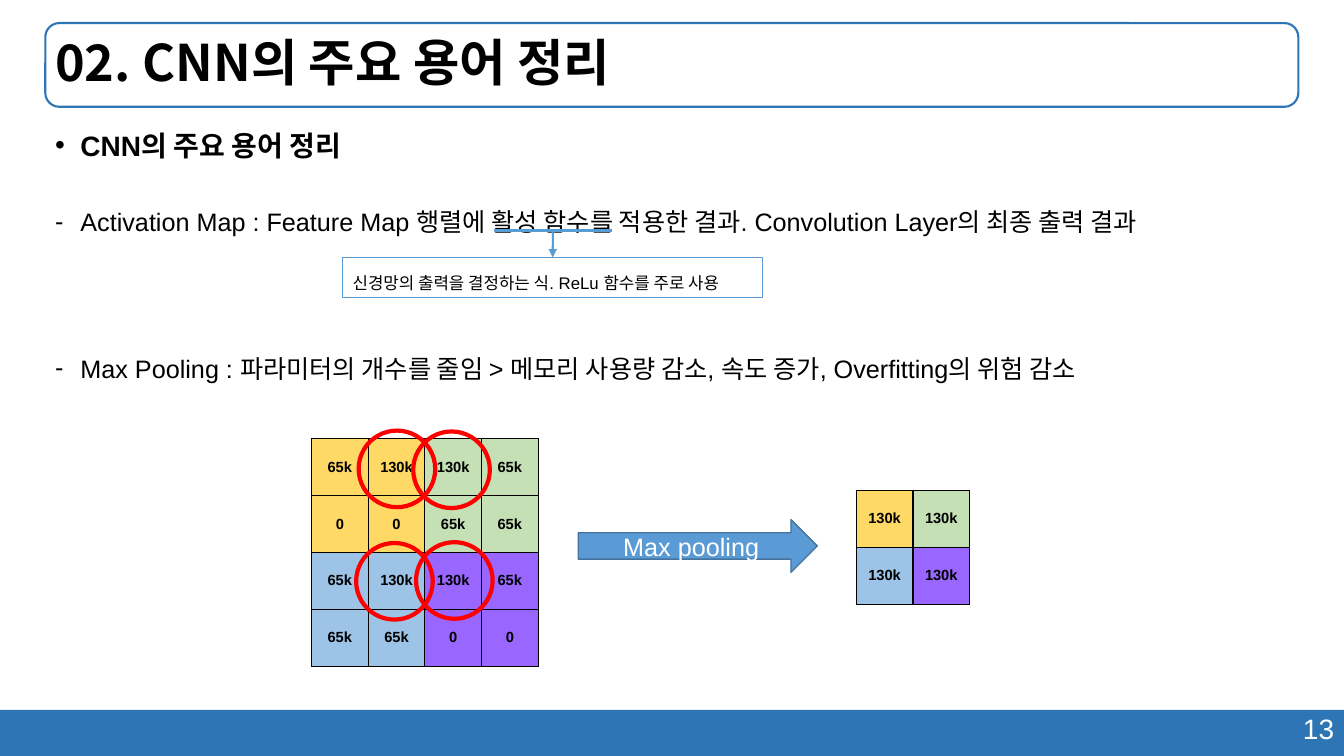
from dataclasses import dataclass

from lxml.etree import SubElement
from pptx import Presentation
from pptx.dml.color import RGBColor
from pptx.enum.shapes import MSO_CONNECTOR as Conn, MSO_SHAPE as Shape
from pptx.enum.text import MSO_ANCHOR as Anchor, PP_ALIGN as Align
from pptx.oxml import parse_xml
from pptx.oxml.ns import nsdecls, qn
from pptx.util import Pt

COLORS = {
    "bar": "2E75B6", "accent": "5B9BD5", "arrow_edge": "43739E",
    "black": "000000", "white": "FFFFFF", "red": "FF0000",
    "yellow": "FFD966", "green": "C5E0B4", "blue": "9DC3E6", "purple": "9966FF",
}
QUADRANTS = [["yellow", "green"], ["blue", "purple"]]
CELL_W, CELL_H = 40.5, 40.7
CIRCLE = 54.7


@dataclass
class Box:
    left: float
    top: float
    width: float
    height: float


@dataclass
class Style:
    size: float
    color: str = "black"
    bold: bool = False
    name: str = "Arial"


@dataclass
class BodyLine:
    text: str
    bullet: str
    style: Style
    line_spacing: float
    space_before: float


@dataclass
class Grid:
    left: float
    top: float
    rows: list[list[str]]


def rgb(key: str) -> RGBColor:
    return RGBColor.from_string(COLORS[key])


def place(box: Box) -> list[Pt]:
    return [Pt(v) for v in (box.left, box.top, box.width, box.height)]


def write(p, text: str, style: Style, **formats) -> None:
    for key, value in formats.items():
        setattr(p, key, value)
    r = p.add_run()
    r.text = text
    fonts = {"name": style.name, "size": Pt(style.size), "bold": style.bold}
    for key, value in fonts.items():
        setattr(r.font, key, value)
    r.font.color.rgb = rgb(style.color)


def add_shape(s, kind: Shape, box: Box, fill: str = "", line: str = "", width: float = 1):
    """Add a preset shape; an empty colour means no fill or no line."""
    sp = s.shapes.add_shape(kind, *place(box))
    sp.shadow.inherit = False
    if fill:
        sp.fill.solid()
        sp.fill.fore_color.rgb = rgb(fill)
    else:
        sp.fill.background()
    if line:
        sp.line.color.rgb = rgb(line)
        sp.line.width = Pt(width)
    else:
        sp.line.fill.background()
    return sp


def add_text_box(s, box: Box, anchor: Anchor = Anchor.TOP):
    tf = s.shapes.add_textbox(*place(box)).text_frame
    tf.word_wrap = True
    tf.vertical_anchor = anchor
    return tf


def add_line(s, start: tuple[float, float], end: tuple[float, float],
             width: float, arrow: bool = False) -> None:
    cx = s.shapes.add_connector(Conn.STRAIGHT, *(Pt(v) for v in start + end))
    cx.line.color.rgb = rgb("accent")
    cx.line.width = Pt(width)
    if arrow:
        SubElement(cx.line._get_or_add_ln(), qn("a:tailEnd"), type="triangle")
    SubElement(cx._element.spPr, qn("a:effectLst"))


def add_body(s, box: Box, lines: list[BodyLine]) -> None:
    tf = add_text_box(s, box)
    for i, line in enumerate(lines):
        p = tf.add_paragraph() if i else tf.paragraphs[0]
        pPr = p._p.get_or_add_pPr()
        pPr.set("marL", str(int(Pt(18))))
        pPr.set("indent", str(int(Pt(-18))))
        SubElement(pPr, qn("a:buFont"), typeface="Arial")
        SubElement(pPr, qn("a:buChar"), char=line.bullet)
        write(p, line.text, line.style, line_spacing=line.line_spacing,
              space_before=Pt(line.space_before))


def add_borders(cell) -> None:
    tcPr = cell._tc.get_or_add_tcPr()
    for i, side in enumerate("LRTB"):
        tcPr.insert(i, parse_xml(
            f'<a:ln{side} {nsdecls("a")} w="{int(Pt(1))}"><a:solidFill>'
            f'<a:srgbClr val="{COLORS["black"]}"/></a:solidFill></a:ln{side}>'))


def add_grid(s, grid: Grid) -> None:
    """Draw a square table whose four quadrants have their own colours."""
    n = len(grid.rows)
    box = Box(grid.left, grid.top, n * CELL_W, n * CELL_H)
    table = s.shapes.add_table(n, n, *place(box)).table
    for i in range(n):
        table.columns[i].width = Pt(CELL_W)
        table.rows[i].height = Pt(CELL_H)
    for i, row in enumerate(grid.rows):
        for j, value in enumerate(row):
            cell = table.cell(i, j)
            cell.fill.solid()
            cell.fill.fore_color.rgb = rgb(QUADRANTS[2 * i // n][2 * j // n])
            cell.vertical_anchor = Anchor.MIDDLE
            add_borders(cell)
            write(cell.text_frame.paragraphs[0], value, Style(10.5, bold=True),
                  alignment=Align.CENTER)


def main() -> None:
    prs = Presentation()
    prs.slide_width, prs.slide_height = Pt(960), Pt(540)
    s = prs.slides.add_slide(prs.slide_layouts[6])

    add_shape(s, Shape.RECTANGLE, Box(0, 507, 960, 33), fill="bar")
    tf = add_text_box(s, Box(679, 504.7, 281, 31.5))
    write(tf.paragraphs[0], "13", Style(20, "white"), alignment=Align.RIGHT)

    title_box = Box(32.4, 16.5, 895, 59.8)
    add_shape(s, Shape.ROUNDED_RECTANGLE, title_box, line="bar", width=1.5)
    tf = add_text_box(s, title_box, Anchor.MIDDLE)
    write(tf.paragraphs[0], "02. CNN의 주요 용어 정리",
          Style(36, bold=True, name="Noto Sans CJK KR"), line_spacing=0.9)

    add_body(s, Box(32.4, 90.7, 895, 420.5), [
        BodyLine("CNN의 주요 용어 정리", "•", Style(20, bold=True), 0.9, 0),
        BodyLine("Activation Map : Feature Map 행렬에 활성 함수를 적용한 결과. "
                 "Convolution Layer의 최종 출력 결과", "-", Style(18), 2, 10),
        BodyLine("Max Pooling : 파라미터의 개수를 줄임 > 메모리 사용량 감소, 속도 증가, "
                 "Overfitting의 위험 감소", "-", Style(18), 2, 61.4),
    ])

    add_line(s, (352.8, 164.9), (437, 164.9), 2.25)
    callout = add_shape(s, Shape.RECTANGLE, Box(244.8, 183.9, 300, 28.6),
                        line="accent", width=0.75)
    callout.text_frame.word_wrap = True
    callout.text_frame.vertical_anchor = Anchor.TOP
    write(callout.text_frame.paragraphs[0],
          "신경망의 출력을 결정하는 식. ReLu 함수를 주로 사용",
          Style(12), alignment=Align.LEFT, line_spacing=1.5)
    add_line(s, (395, 164.9), (394.8, 183.9), 1.5, arrow=True)

    add_grid(s, Grid(222.5, 313.2, [
        ["65k", "130k", "130k", "65k"],
        ["0", "0", "65k", "65k"],
        ["65k", "130k", "130k", "65k"],
        ["65k", "65k", "0", "0"],
    ]))
    arrow = add_shape(s, Shape.RIGHT_ARROW, Box(413, 371.2, 170.8, 37.6),
                      fill="accent", line="arrow_edge")
    arrow.text_frame.vertical_anchor = Anchor.MIDDLE
    write(arrow.text_frame.paragraphs[0], "Max pooling", Style(18, "white"),
          alignment=Align.CENTER)
    add_grid(s, Grid(611.6, 350.2, [["130k", "130k"]] * 2))

    for left, top in [(256.2, 307.6), (295.2, 308.2), (254.4, 387.9), (297.2, 387.3)]:
        add_shape(s, Shape.OVAL, Box(left, top, CIRCLE, CIRCLE), line="red", width=3)

    prs.save("out.pptx")


if __name__ == "__main__":
    main()
